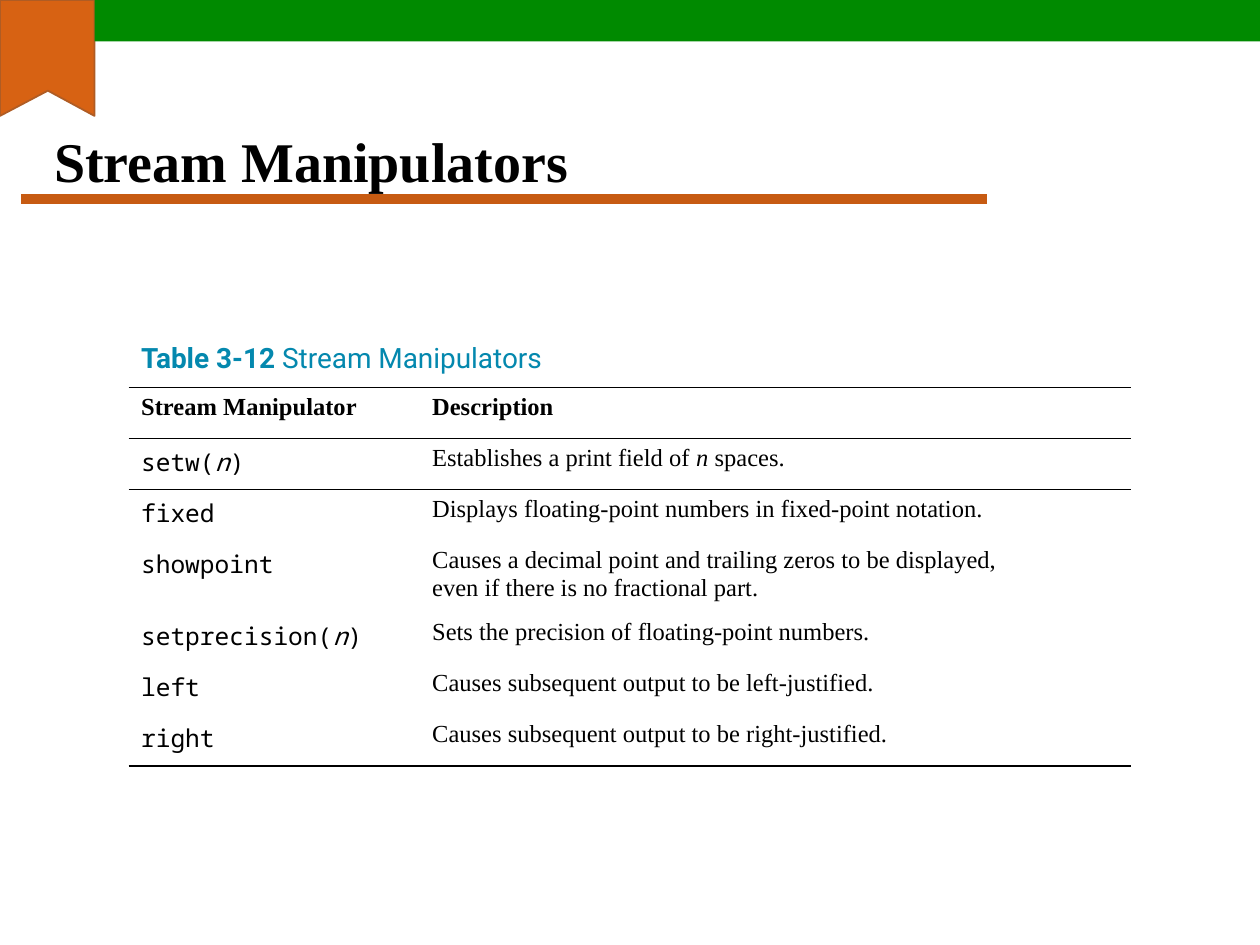
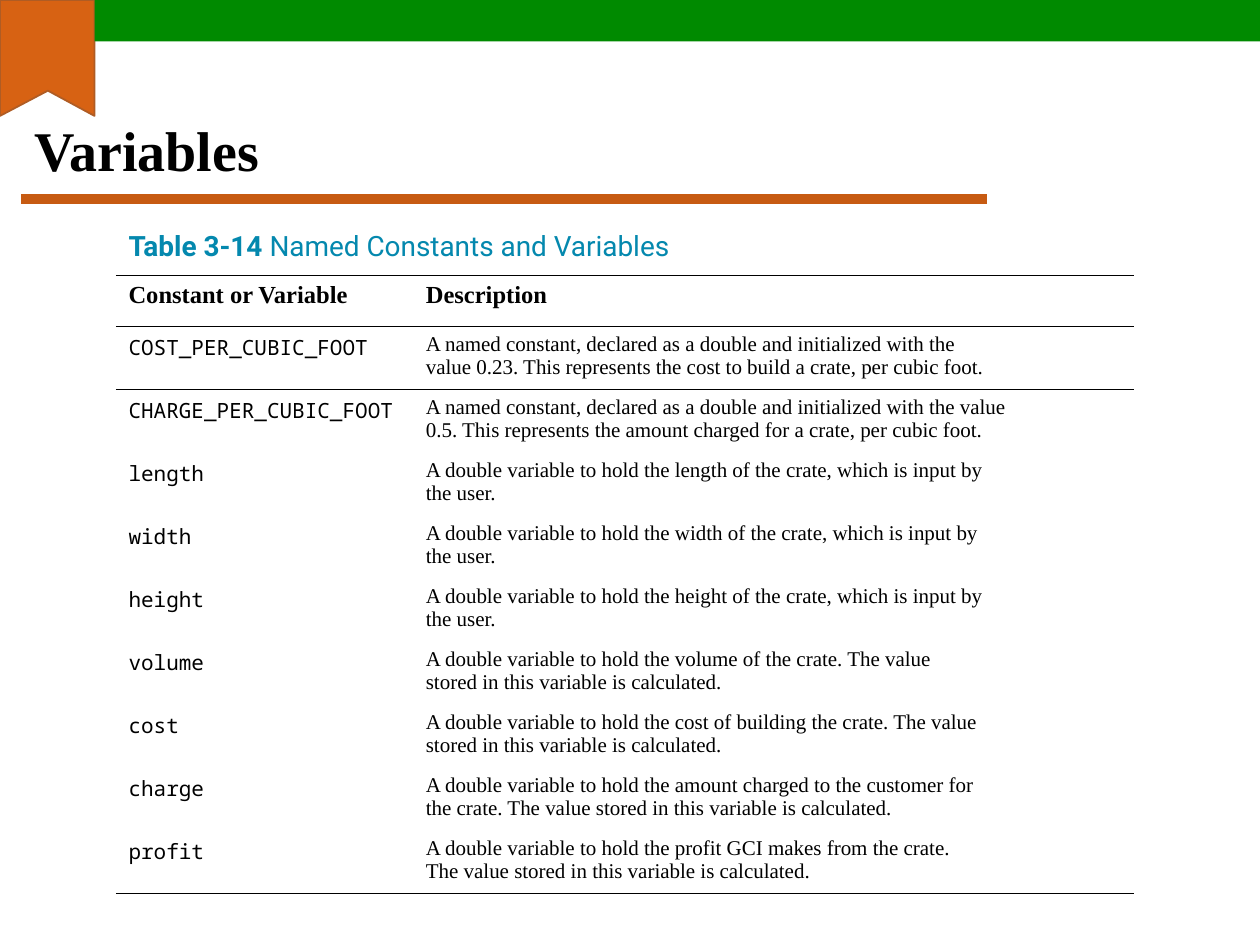
from dataclasses import dataclass

from lxml import etree
from pptx import Presentation
from pptx.dml.color import RGBColor
from pptx.enum.shapes import MSO_CONNECTOR, MSO_SHAPE
from pptx.enum.text import MSO_ANCHOR, PP_ALIGN
from pptx.oxml.ns import qn
from pptx.util import Inches, Pt

SERIF, MONO, CAPTION_FONT = "Times New Roman", "Noto Sans Mono", "Roboto"
BLACK, GREEN, RIBBON, RIBBON_EDGE = "000000", "008A00", "D76213", "AF5C24"
RULE, TEAL = "C75B12", "0488AE"
NO_STYLE_NO_GRID = "{2D5ABB26-0587-4C30-8999-92F81FD0307C}"
RIBBON_OUTLINE = [(0, 0.92), (0, 0), (0.75, 0), (0.75, 0.92), (0.38, 0.72)]


@dataclass
class ReferenceTable:
    """Text between asterisks is italic; a line break starts a paragraph."""
    number: str
    caption: str
    headings: tuple[str, str]
    entries: list[tuple[str, str]]
    left: float
    top: float
    height: float
    columns: tuple[float, float]
    two_line_height: float
    body_size: int


@dataclass
class TableSlide:
    title: str
    title_left: float
    title_top: float
    table: ReferenceTable


CALCULATED = "stored in this variable is calculated."

SLIDES = [
    TableSlide("Stream Manipulators", 0.33, 0.67, ReferenceTable(
        "Table 3-12 ", "Stream Manipulators",
        ("Stream Manipulator", "Description"),
        [
            ("setw(*n*)", "Establishes a print field of *n *spaces."),
            ("fixed", "Displays floating-point numbers in fixed-point notation."),
            ("showpoint", "Causes a decimal point and trailing zeros to be displayed,\n"
                          "even if there is no fractional part."),
            ("setprecision(*n*)", "Sets the precision of floating-point numbers."),
            ("left", "Causes subsequent output to be left-justified."),
            ("right", "Causes subsequent output to be right-justified."),
        ],
        left=1.02, top=2.67, height=3.41, columns=(2.31, 5.65),
        two_line_height=0.57, body_size=14)),
    TableSlide("Variables", 0.17, 0.58, ReferenceTable(
        "Table 3-14 ", "Named Constants and Variables",
        ("Constant or Variable", "Description"),
        [
            ("COST_PER_CUBIC_FOOT",
             "A named constant, declared as a double and initialized with the\n"
             "value 0.23. This represents the cost to build a crate, per cubic foot."),
            ("CHARGE_PER_CUBIC_FOOT",
             "A named constant, declared as a double and initialized with the value\n"
             "0.5. This represents the amount charged for a crate, per cubic foot."),
            *((side, f"A double variable to hold the {side} of the crate, "
                     "which is input by\nthe user.")
              for side in ("length", "width", "height")),
            ("volume", "A double variable to hold the volume of the crate. The value\n"
                       + CALCULATED),
            ("cost", "A double variable to hold the cost of building the crate. The value\n"
                     + CALCULATED),
            ("charge", "A double variable to hold the amount charged to the customer for\n"
                       "the crate. The value " + CALCULATED),
            ("profit", "A double variable to hold the profit GCI makes from the crate.\n"
                       "The value " + CALCULATED),
        ],
        left=0.92, top=1.78, height=5.31, columns=(2.36, 5.72),
        two_line_height=0.5, body_size=12)),
]


def rgb(color: str) -> RGBColor:
    return RGBColor.from_string(color)


def set_font(paragraph, name: str, size: int, color: str = BLACK, bold=None) -> None:
    font = paragraph.font
    font.name, font.size, font.bold = name, Pt(size), bold
    font.color.rgb = rgb(color)


def draw_frame(slide) -> None:
    """Draw the title rule, the ribbon and the top band."""
    shapes = slide.shapes
    rule = shapes.add_connector(MSO_CONNECTOR.STRAIGHT, Inches(0.17), Inches(1.58),
                                Inches(7.83), Inches(1.58))
    rule.line.color.rgb = rgb(RULE)
    rule.line.width = Pt(6)
    etree.SubElement(rule._element.spPr, qn("a:effectLst"))

    start, *corners = [(Inches(x), Inches(y)) for x, y in RIBBON_OUTLINE]
    outline = shapes.build_freeform(*start)
    outline.add_line_segments(corners, close=True)
    ribbon = outline.convert_to_shape()
    band = shapes.add_shape(MSO_SHAPE.RECTANGLE, Inches(0.75), 0,
                            Inches(9.25), Inches(0.33))
    for part, color in ((ribbon, RIBBON), (band, GREEN)):
        part.shadow.inherit = False
        part.fill.solid()
        part.fill.fore_color.rgb = rgb(color)
    ribbon.line.color.rgb = rgb(RIBBON_EDGE)
    ribbon.line.width = Pt(1)
    band.line.fill.background()


def place_title(slide, content: TableSlide) -> None:
    title = slide.shapes.title
    title.left, title.top = Inches(content.title_left), Inches(content.title_top)
    title.width, title.height = Inches(9), Inches(1.2)
    title.text_frame.text = content.title
    title.text_frame.vertical_anchor = MSO_ANCHOR.MIDDLE
    heading = title.text_frame.paragraphs[0]
    heading.alignment = PP_ALIGN.LEFT
    set_font(heading, SERIF, 32, bold=True)


def add_border(cell, edge: str) -> None:
    """Add a black line to a cell; edge is a:lnT or a:lnB."""
    line = etree.SubElement(cell._tc.get_or_add_tcPr(), qn(edge), w=str(Pt(1)))
    fill = etree.SubElement(line, qn("a:solidFill"))
    etree.SubElement(fill, qn("a:srgbClr"), val=BLACK)


def write_cell(cell, text: str, font: str, size: int, bold: bool = False) -> None:
    frame = cell.text_frame
    for index, line in enumerate(text.split("\n")):
        paragraph = frame.add_paragraph() if index else frame.paragraphs[0]
        set_font(paragraph, font, size, bold=bold)
        for part, words in enumerate(line.split("*")):
            run = paragraph.add_run()
            run.text = words
            if part % 2:
                run.font.italic = True


def draw_table(slide, content: ReferenceTable) -> None:
    row_count = len(content.entries) + 2
    frame = slide.shapes.add_table(row_count, 2, Inches(content.left), Inches(content.top),
                                   Inches(sum(content.columns)), Inches(content.height))
    table = frame.table
    table.first_row = table.horz_banding = False
    table._tbl.tblPr.find(qn("a:tableStyleId")).text = NO_STYLE_NO_GRID
    for column, width in zip(table.columns, content.columns):
        column.width = Inches(width)

    is_tall = [False, False] + ["\n" in meaning for _, meaning in content.entries]
    tall_total = sum(is_tall) * content.two_line_height
    one_line_height = (content.height - tall_total) / is_tall.count(False)
    for row, tall in zip(table.rows, is_tall):
        row.height = Inches(content.two_line_height if tall else one_line_height)

    ruled_below = {0, 1, row_count - 1}
    for index, row in enumerate(table.rows):
        for cell in row.cells:
            if index - 1 in ruled_below:
                add_border(cell, "a:lnT")
            if index in ruled_below:
                add_border(cell, "a:lnB")
            cell.fill.background()

    table.cell(0, 0).merge(table.cell(0, 1))
    caption = table.cell(0, 0).text_frame.paragraphs[0]
    set_font(caption, CAPTION_FONT, 16, TEAL)
    for words, bold in ((content.number, True), (content.caption, False)):
        run = caption.add_run()
        run.text, run.font.bold = words, bold
    for column, heading in enumerate(content.headings):
        write_cell(table.cell(1, column), heading, SERIF, 14, bold=True)
    for index, (name, meaning) in enumerate(content.entries, start=2):
        write_cell(table.cell(index, 0), name, MONO, content.body_size)
        write_cell(table.cell(index, 1), meaning, SERIF, content.body_size)


def main() -> None:
    deck = Presentation()
    deck.slide_width, deck.slide_height = Inches(10), Inches(7.5)
    title_only = deck.slide_layouts[5]
    for content in SLIDES:
        slide = deck.slides.add_slide(title_only)
        draw_frame(slide)
        place_title(slide, content)
        # The title lies in front of the rule.
        slide.shapes._spTree.append(slide.shapes.title._element)
        draw_table(slide, content.table)
    deck.save("out.pptx")


if __name__ == "__main__":
    main()
